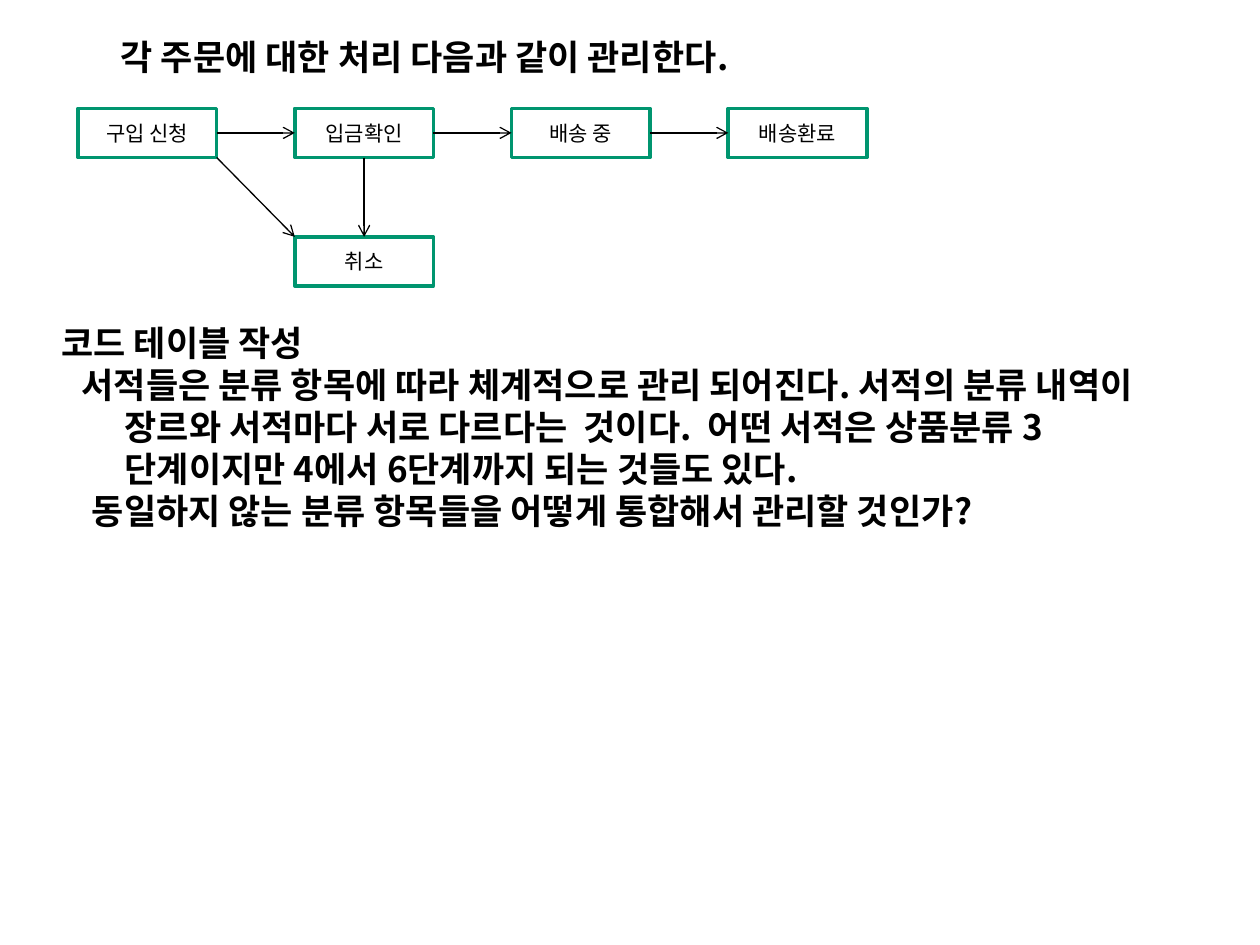
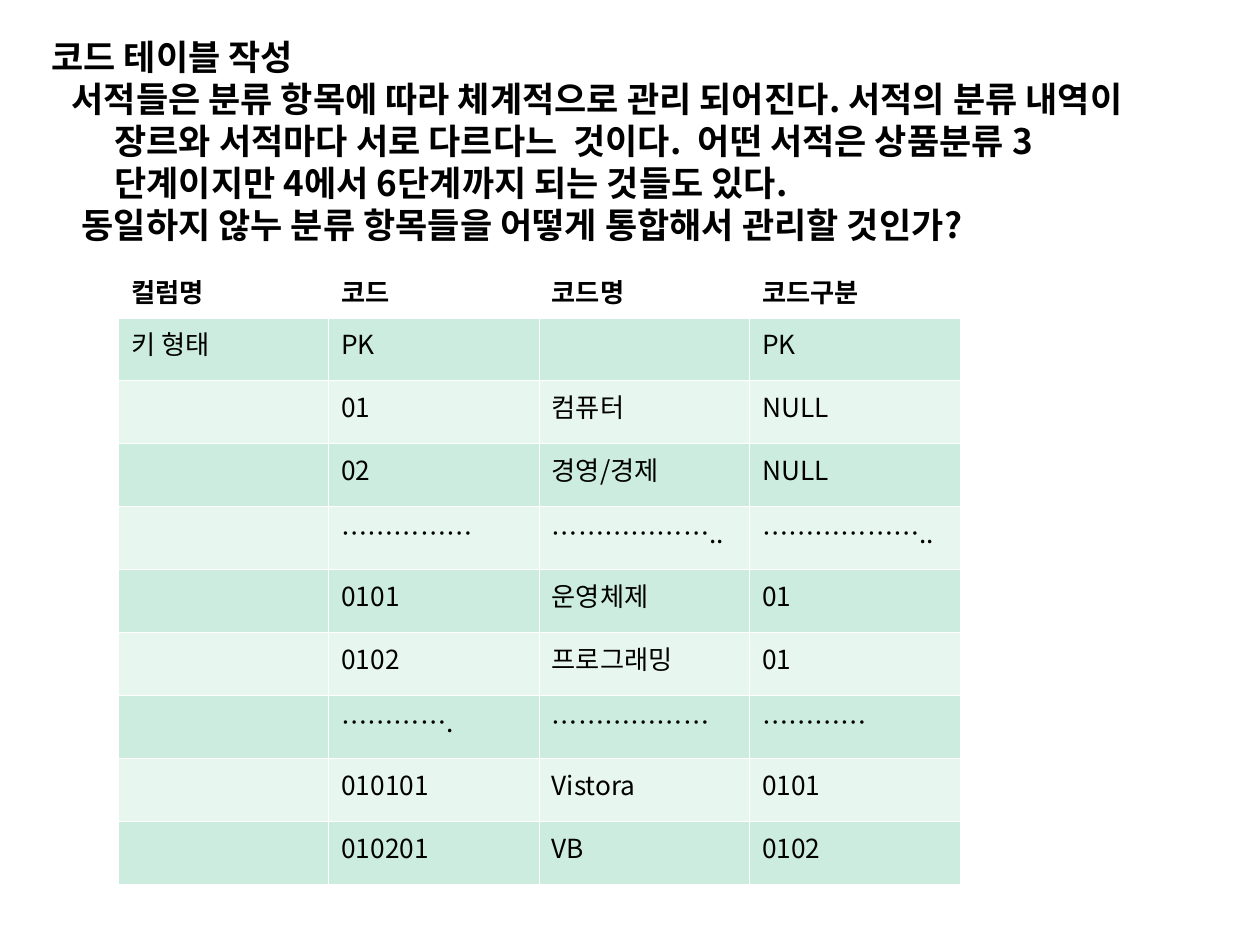
from itertools import pairwise
from lxml.etree import SubElement
from pptx import Presentation
from pptx.dml.color import RGBColor
from pptx.enum.shapes import MSO_CONNECTOR, MSO_SHAPE
from pptx.enum.text import MSO_ANCHOR, PP_ALIGN
from pptx.oxml import parse_xml
from pptx.oxml.ns import nsdecls, qn
from pptx.util import Inches, Pt

FONT = "Noto Sans CJK KR"
HUES = {"ink": "000000", "edge": "00956F", "paper": "FFFFFF",
        "dark": "CBECDE", "light": "E7F6EF"}
RGB = {key: RGBColor.from_string(hue) for key, hue in HUES.items()}
HEAD = {"size": Pt(20), "bold": True}
STEP = {"size": Pt(12), "bold": False}
CELL = {"size": Pt(15), "bold": False}
TOP = {"size": Pt(15), "bold": True}


def write(par, text, form):
    run = par.add_run()
    run.text = text
    run.font.name = FONT
    run.font.color.rgb = RGB["ink"]
    for key, value in form.items():
        setattr(run.font, key, value)
    SubElement(run.font._element, qn("a:ea"), typeface=FONT)


def note(slide, left, top, high, lines):
    """Bold text with a hanging indent; lines hold (first-line start, text)."""
    box = slide.shapes.add_textbox(Inches(left), Inches(top), Inches(8.79), Inches(high))
    box.text_frame.word_wrap = True
    for i, (start, text) in enumerate(lines):
        par = box.text_frame.add_paragraph() if i else box.text_frame.paragraphs[0]
        props = par._p.get_or_add_pPr()
        props.set("marL", str(Inches(0.5)))
        props.set("indent", str(Inches(start - 0.5)))
        write(par, text, HEAD)


deck = Presentation()
deck.slide_width, deck.slide_height = Inches(10), Inches(7.5)
blank = deck.slide_layouts[6]
flow, codes = [deck.slides.add_slide(blank) for _ in range(2)]

# Code table question, shown on both slides with small wording changes
places = [(flow, 0.39, 2.5, "다르다는", "않는"), (codes, 0.31, 0.23, "다르다느", "않누")]
for slide, left, top, differ, unlike in places:
    note(slide, left, top, 1.77, [
        (0, "코드 테이블 작성"),
        (0.16, "서적들은 분류 항목에 따라 체계적으로 관리 되어진다. 서적의 분류 "
               f"내역이 장르와 서적마다 서로 {differ}  것이다.  어떤 서적은 "
               "상품분류 3단계이지만 4에서 6단계까지 되는 것들도 있다."),
        (0.24, f"동일하지 {unlike} 분류 항목들을 어떻게 통합해서 관리할 것인가?")])

# Order flow: heading and boxes
note(flow, 0.55, 0.23, 0.44, [(0.31, "각 주문에 대한 처리 다음과 같이 관리한다.")])
steps = [("구입 신청", 0, 0), ("입금확인", 1, 0), ("배송 중", 2, 0),
         ("배송환료", 3, 0), ("취소", 1, 1)]
boxes = []
for name, col, row in steps:
    box = flow.shapes.add_shape(MSO_SHAPE.RECTANGLE, Inches(0.62 + 1.72 * col),
                                Inches(0.86 + 1.02 * row), Inches(1.1), Inches(0.39))
    box.shadow.inherit = False
    box.fill.solid()
    box.fill.fore_color.rgb = RGB["paper"]
    box.line.color.rgb = RGB["edge"]
    box.line.width = Pt(2)
    box.text_frame.vertical_anchor = MSO_ANCHOR.MIDDLE
    par = box.text_frame.paragraphs[0]
    par.alignment = PP_ALIGN.CENTER
    write(par, name, STEP)
    boxes.append(box)

# Order flow: arrows, with joined sides where they meet a side's middle
order, paid, *_, cancel = boxes
links = [(a, b, (3, 1)) for a, b in pairwise(boxes[:4])]
links += [(paid, cancel, (2, 0)), (order, cancel, None)]
for a, b, sides in links:
    link = flow.shapes.add_connector(MSO_CONNECTOR.STRAIGHT, a.left + a.width,
                                     a.top + a.height, b.left, b.top)
    if sides:
        link.begin_connect(a, sides[0])
        link.end_connect(b, sides[1])
    link.line.color.rgb = RGB["ink"]
    link.line.width = Pt(0.75)
    SubElement(link.line._get_or_add_ln(), qn("a:tailEnd"), type="arrow")
    SubElement(link._element.spPr, qn("a:effectLst"))

# Code table
rows = [
    ("컬럼명", "코드", "코드명", "코드구분"),
    ("키 형태", "PK", "", "PK"),
    ("", "01", "컴퓨터", "NULL"),
    ("", "02", "경영/경제", "NULL"),
    ("", "……………", "………………..", "……………….."),
    ("", "0101", "운영체제", "01"),
    ("", "0102", "프로그래밍", "01"),
    ("", "………….", "………………", "…………"),
    ("", "010101", "Vistora", "0101"),
    ("", "010201", "VB", "0102"),
]
grid = codes.shapes.add_table(len(rows), 4, Inches(0.94), Inches(2.11),
                              Inches(6.67), Inches(4.91)).table
for col in grid.columns:
    col.width = Inches(1.67)
for r, texts in enumerate(rows):
    grid.rows[r].height = Inches(0.5 if r else 0.41)
    for c, text in enumerate(texts):
        cell = grid.cell(r, c)
        for side in "LRTB":
            thick = (r, side) in ((0, "B"), (1, "T"))
            cell._tc.get_or_add_tcPr().append(parse_xml(
                f'<a:ln{side} {nsdecls("a")} w="{Pt(1.47 if thick else 0.45)}"><a:solidFill>'
                f'<a:srgbClr val="{HUES["paper"]}"/></a:solidFill></a:ln{side}>'))
        if r:
            cell.fill.solid()
            cell.fill.fore_color.rgb = RGB["dark" if r % 2 else "light"]
        else:
            cell.fill.background()
        if text:
            write(cell.text_frame.paragraphs[0], text, CELL if r else TOP)

deck.save("out.pptx")
